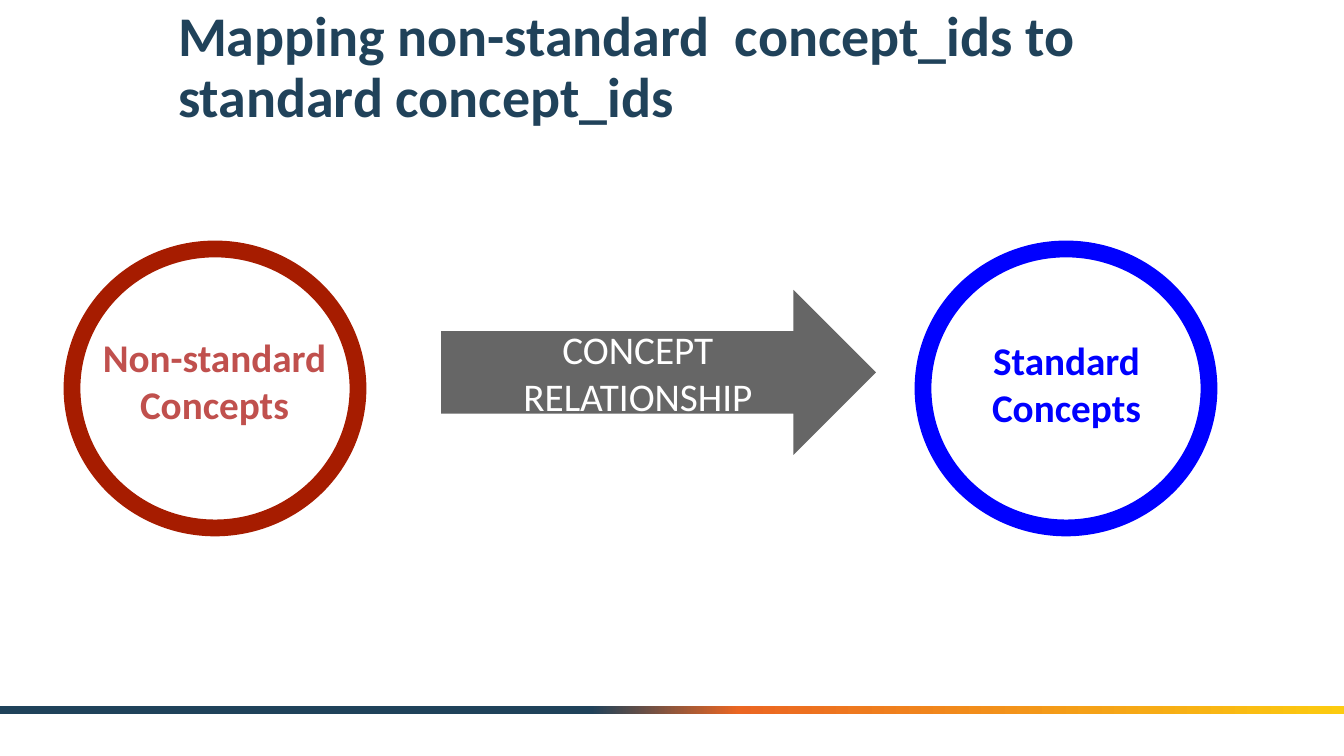
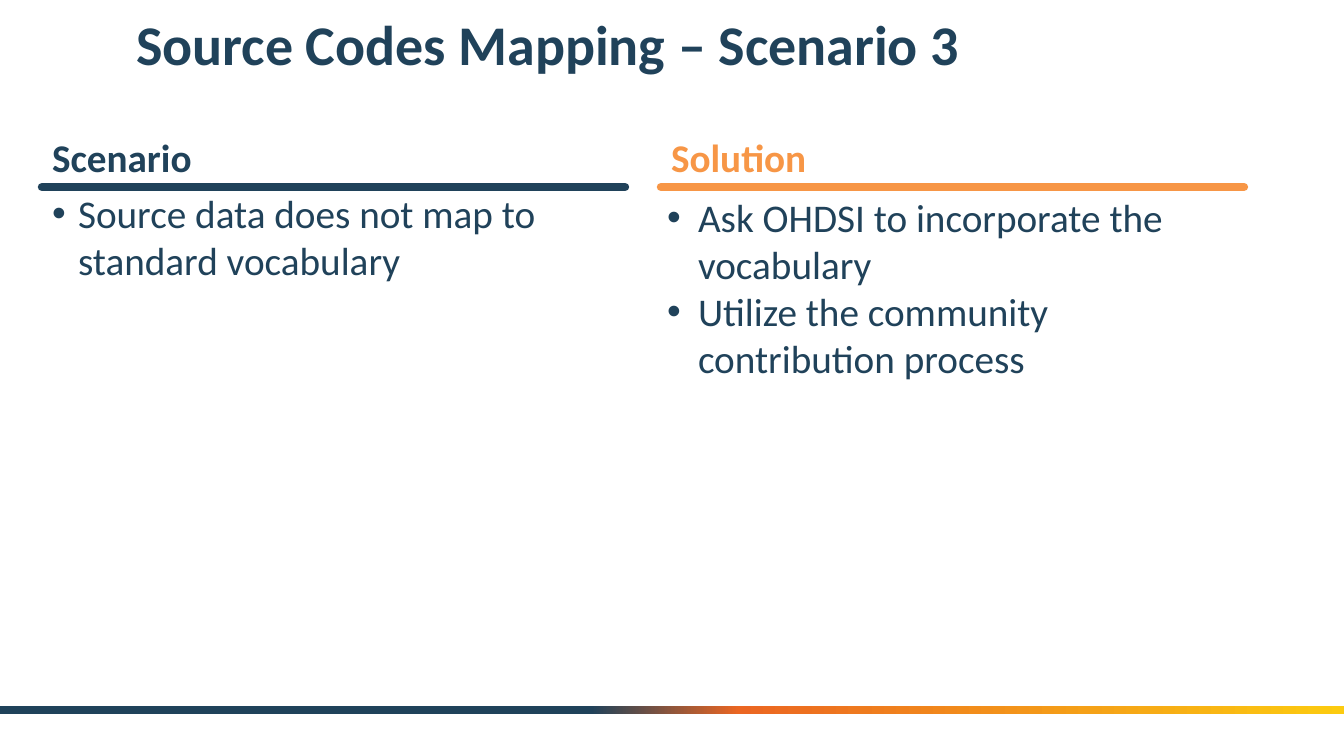
"""Builds two slides on mapping source codes to standard concepts."""
import lxml.etree
import copy
import pptx
import pptx.dml.color
import pptx.enum.shapes
import pptx.enum.text
import pptx.oxml.ns
import pptx.util

EMU_PER_PX = 914400 / 100.8
WIDTH, HEIGHT = 1344, 756
FONT = "Calibri"
NAVY, ORANGE, BLUE, RED, ROSE = "20425A", "F79646", "0000FF", "A61C00", "C0504D"
WHITE, GRAY = "FFFFFF", "666666"
BAND_STOPS = [(0.44, NAVY), (0.55, "EB6622"), (1, "FCCB10")]

rgb = pptx.dml.color.RGBColor.from_string
qn = pptx.oxml.ns.qn
SHAPE = pptx.enum.shapes.MSO_SHAPE
ALIGN = pptx.enum.text.PP_ALIGN
ANCHOR = pptx.enum.text.MSO_ANCHOR


def emu(*lengths):
    """Turn px lengths into EMU."""
    return [round(length * EMU_PER_PX) for length in lengths]


def write(shape, lines, color, size=28, bold=False, align=ALIGN.LEFT,
          anchor=ANCHOR.TOP, spacing=1.0, bullet=None):
    """Fill a shape with paragraphs; bullet is the hanging indent in px."""
    frame = shape.text_frame
    frame.word_wrap = True
    frame.auto_size = pptx.enum.text.MSO_AUTO_SIZE.NONE
    frame.vertical_anchor = anchor
    frame.text = "\n".join(lines)
    for para in frame.paragraphs:
        para.alignment = align
        para.line_spacing = spacing
        para.space_before = pptx.util.Pt(0)
        if bullet:
            props = para._p.get_or_add_pPr()
            (indent,) = emu(bullet)
            props.set("marL", str(indent))
            props.set("indent", str(-indent))
            tint = lxml.etree.SubElement(props, qn("a:buClr"))
            lxml.etree.SubElement(tint, qn("a:srgbClr"), val=NAVY)
            lxml.etree.SubElement(props, qn("a:buFont"), typeface="Arial")
            lxml.etree.SubElement(props, qn("a:buChar"), char="•")
        para.font.name = FONT
        para.font.size = pptx.util.Pt(size)
        para.font.bold = bold
        para.font.color.rgb = rgb(color)


deck = pptx.Presentation()
deck.slide_width, deck.slide_height = emu(WIDTH, HEIGHT)

pages = []
for layout_name, title, place in [
    ("Title Only", "Mapping non-standard  concept_ids to standard concept_ids",
     (168, 11, 1109, 116)),
    ("Comparison", "Source Codes Mapping – Scenario 3", (126, 12, 1142, 70)),
]:
    page = deck.slides.add_slide(deck.slide_layouts.get_by_name(layout_name))
    heading = page.shapes.title
    heading.left, heading.top, heading.width, heading.height = emu(*place)
    write(heading, [title], NAVY, size=40, bold=True, anchor=ANCHOR.MIDDLE, spacing=0.9)
    pages.append(page)
concept_page, scenario_page = pages

band = concept_page.shapes.add_shape(SHAPE.RECTANGLE, *emu(0, 706, WIDTH, 8))
band.shadow.inherit = False
band.line.fill.background()
band.fill.gradient()
band.fill.gradient_angle = 0
stop_list = band.element.xpath(".//a:gsLst")[0]
stop_list.append(copy.deepcopy(stop_list[0]))
for stop, (position, color) in zip(band.fill.gradient_stops, BAND_STOPS):
    stop.position = position
    stop.color.rgb = rgb(color)
deck.slide_master.shapes.element.append(band.element)

for left, ring_color, label, label_color, label_place in [
    (72, RED, "Non-standard Concepts", ROSE, (91, 328, 247, 111)),
    (923, BLUE, "Standard Concepts", BLUE, (965, 331, 203, 105)),
]:
    ring = concept_page.shapes.add_shape(SHAPE.OVAL, *emu(left, 249, 286, 279))
    ring.shadow.inherit = False
    ring.fill.solid()
    ring.fill.fore_color.rgb = rgb(WHITE)
    ring.line.color.rgb = rgb(ring_color)
    ring.line.width = pptx.util.Pt(12)
    box = concept_page.shapes.add_textbox(*emu(*label_place))
    write(box, [label], label_color, bold=True, align=ALIGN.CENTER)

arrow = concept_page.shapes.add_shape(SHAPE.RIGHT_ARROW, *emu(441, 290, 435, 165))
arrow.shadow.inherit = False
arrow.fill.solid()
arrow.fill.fore_color.rgb = rgb(GRAY)
arrow.line.fill.background()
write(arrow, ["CONCEPT RELATIONSHIP"], WHITE, align=ALIGN.CENTER, anchor=ANCHOR.MIDDLE)

columns = [
    ("Scenario", NAVY, (42, 134, 565, 45), 5, 0.9, 42,
     ["Source data does not map to standard vocabulary"], (42, 184, 587, 172), 26),
    ("Solution", ORANGE, (661, 130, 547, 53), 3, 1.0, 661,
     ["Ask OHDSI to incorporate the vocabulary",
      "Utilize the community contribution process"], (657, 188, 591, 500), 31),
]
for index, (name, color, name_place, inset, spacing, rule_left,
            items, list_place, indent) in enumerate(columns):
    label = scenario_page.placeholders[2 * index + 1]
    label.left, label.top, label.width, label.height = emu(*name_place)
    label.text_frame.margin_top, label.text_frame.margin_bottom = emu(inset, inset)
    write(label, [name], color, bold=True, spacing=spacing)

    listing = scenario_page.placeholders[2 * index + 2]
    listing.left, listing.top, listing.width, listing.height = emu(*list_place)
    write(listing, items, NAVY, bullet=indent)

    rule = scenario_page.shapes.add_connector(
        pptx.enum.shapes.MSO_CONNECTOR.STRAIGHT, *emu(rule_left, 187, rule_left + 583, 187))
    rule.line.color.rgb = rgb(color)
    rule.line.width = pptx.util.Pt(6)
    rule.element.xpath(".//a:ln")[0].set("cap", "rnd")
    lxml.etree.SubElement(rule.element.spPr, qn("a:effectLst"))

deck.save("out.pptx")
